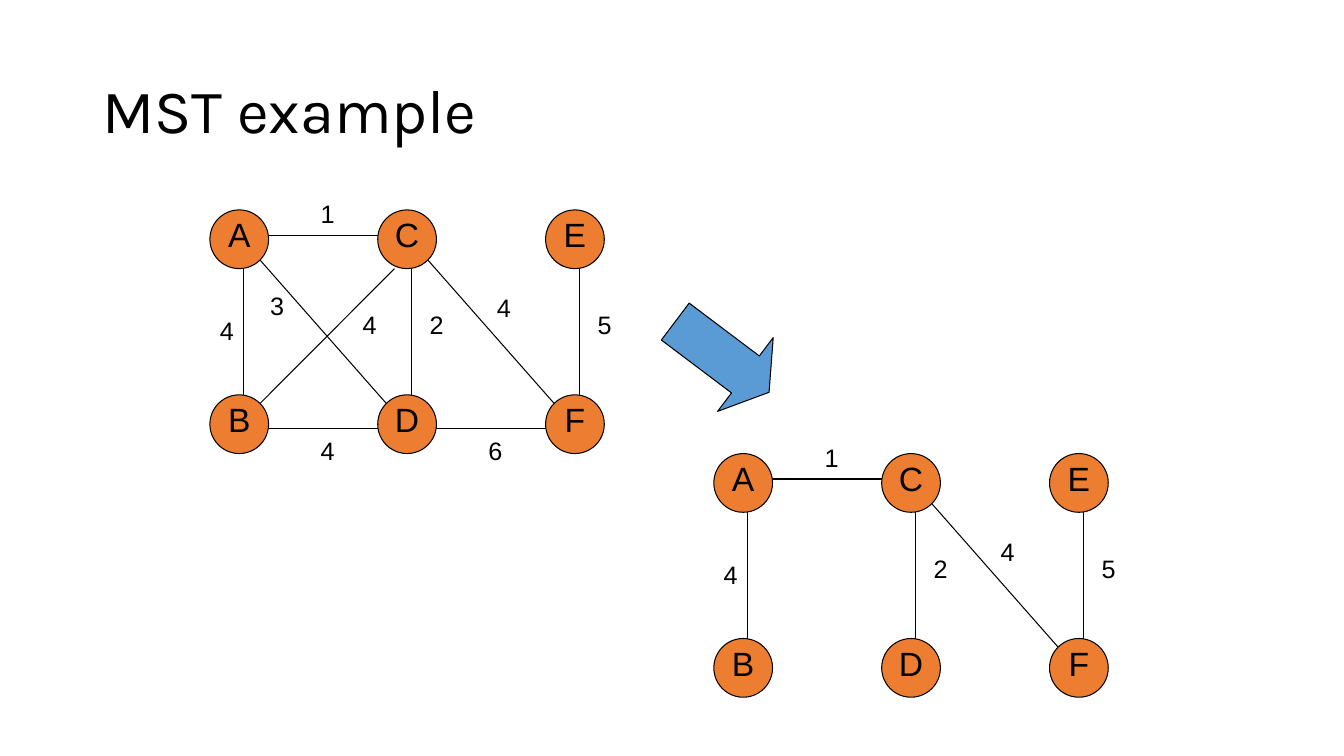
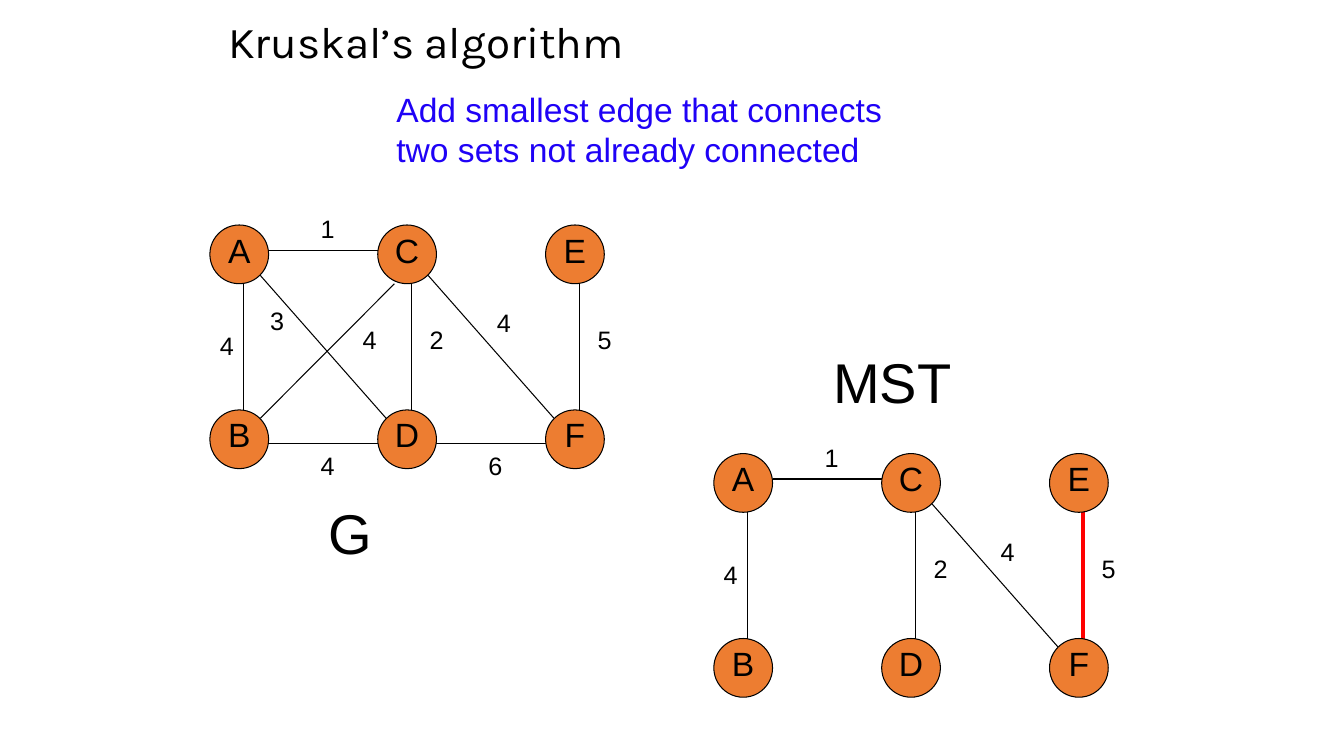
from collections import namedtuple

from lxml import etree
from pptx import Presentation
from pptx.dml.color import RGBColor
from pptx.enum.shapes import MSO_CONNECTOR, MSO_SHAPE
from pptx.enum.text import MSO_ANCHOR, PP_ALIGN
from pptx.oxml.ns import qn
from pptx.util import Cm, Pt

STRAIGHT = MSO_CONNECTOR.STRAIGHT
OVAL, RIGHT_ARROW = MSO_SHAPE.OVAL, MSO_SHAPE.RIGHT_ARROW
TOP, MIDDLE = MSO_ANCHOR.TOP, MSO_ANCHOR.MIDDLE
CENTER = PP_ALIGN.CENTER

BLACK, ORANGE, BLUE = "000000", "ED7D31", "5B9BD5"
RED, VIOLET = "FF0000", "1F02F6"
TITLE_FONT, BODY_FONT = "Karla", "Arial"
THIN, THICK = 0.75, 3

# All graph lengths are in centimetres.
NODE_SIZE = 1.48
COLUMN_STEP, ROW_STEP = 4.23, 4.66
NODES = {"A": (0, 0), "B": (0, 1), "C": (1, 0), "D": (1, 1), "E": (2, 0), "F": (2, 1)}

# Offsets are measured from the top left corner of the edge's first node.
Route = namedtuple("Route", "start end")
DOWN = Route((0.85, NODE_SIZE), (0.85, ROW_STEP))
ACROSS_TOP = Route((NODE_SIZE, 0.64), (COLUMN_STEP, 0.64))
ACROSS_BOTTOM = Route((NODE_SIZE, 0.85), (COLUMN_STEP, 0.85))
FALLING = Route((1.27, 1.27), (COLUMN_STEP + 0.21, ROW_STEP + 0.21))
RISING = Route((1.27, 0.21), (COLUMN_STEP + 0.42, NODE_SIZE - ROW_STEP))

Edge = namedtuple("Edge", "weight route label")
EDGES = {
    "AB": Edge(4, DOWN, (0, 2.54)),
    "AC": Edge(1, ACROSS_TOP, (2.54, -0.41)),
    "AD": Edge(3, FALLING, (1.27, 1.9)),
    "BC": Edge(4, RISING, (3.6, 2.38 - ROW_STEP)),
    "BD": Edge(4, ACROSS_BOTTOM, (2.54, 0.89)),
    "CD": Edge(2, DOWN, (1.06, 2.38)),
    "CF": Edge(4, FALLING, (2.75, 1.95)),
    "DF": Edge(6, ACROSS_BOTTOM, (2.54, 0.89)),
    "EF": Edge(5, DOWN, (1.06, 2.38)),
}
TREE_EDGES = ("AB", "AC", "CD", "CF", "EF")
TREE_CORNER = (17.99, 11.43)


def rgb(value):
    return RGBColor.from_string(value)


def lengths(*values):
    return [Cm(value) for value in values]


def style_paragraph(para, text, size, color=BLACK, font=BODY_FONT):
    para.text = text
    para.font.name = font
    para.font.size = Pt(size)
    para.font.color.rgb = rgb(color)


def add_text(page, box, text, size, color=BLACK, font=BODY_FONT, anchor=TOP):
    frame = page.shapes.add_textbox(*lengths(*box)).text_frame
    frame.word_wrap = True
    frame.vertical_anchor = anchor
    para = frame.paragraphs[0]
    style_paragraph(para, text, size, color, font)
    return para


def add_title(page, box, text, size):
    add_text(page, box, text, size, font=TITLE_FONT, anchor=MIDDLE).line_spacing = 0.9


def add_outlined_shape(page, kind, box, fill):
    shape = page.shapes.add_shape(kind, *lengths(*box))
    shape.shadow.inherit = False
    shape.fill.solid()
    shape.fill.fore_color.rgb = rgb(fill)
    shape.line.color.rgb = rgb(BLACK)
    shape.line.width = Pt(THIN)
    return shape


def add_line(page, start, end, color, width):
    line = page.shapes.add_connector(STRAIGHT, *lengths(*start, *end))
    line.line.color.rgb = rgb(color)
    line.line.width = Pt(width)
    etree.SubElement(line._element.spPr, qn("a:effectLst"))


def add_node(page, corner, name):
    node = add_outlined_shape(page, OVAL, (*corner, NODE_SIZE, NODE_SIZE), ORANGE)
    frame = node.text_frame
    frame.word_wrap = False
    frame.vertical_anchor = MIDDLE
    frame.margin_left = frame.margin_right = frame.margin_top = 0
    frame.margin_bottom = Cm(0.24)
    style_paragraph(frame.paragraphs[0], name, 24)
    frame.paragraphs[0].alignment = CENTER


def add_graph(page, corner, edge_names, marked=()):
    """Draw the six nodes and the named edges; marked edges are thick and red."""

    def shift(point, offset):
        return point[0] + offset[0], point[1] + offset[1]

    corners = {name: shift(corner, (column * COLUMN_STEP, row * ROW_STEP))
               for name, (column, row) in NODES.items()}
    for name in edge_names:
        edge, origin = EDGES[name], corners[name[0]]
        color, width = (RED, THICK) if name in marked else (BLACK, THIN)
        add_line(page, shift(origin, edge.route.start), shift(origin, edge.route.end),
                 color, width)
        add_text(page, (*shift(origin, edge.label), NODE_SIZE, 1.02), str(edge.weight), 18)
    for name, node_corner in corners.items():
        add_node(page, node_corner, name)


def build_example(page):
    add_title(page, (2.33, 1.01, 29.21, 3.68), "MST example", 44)
    add_graph(page, (5.29, 5.29), EDGES)
    add_graph(page, TREE_CORNER, TREE_EDGES)
    arrow = add_outlined_shape(page, RIGHT_ARROW, (16.72, 7.83, 2.96, 2.33), BLUE)
    arrow.adjustments[0] = 0.5
    arrow.adjustments[1] = 0.32
    arrow.rotation = 37


def build_kruskal(page):
    add_title(page, (5.5, 0.33, 20.96, 1.57), "Kruskal’s algorithm", 31.5)
    add_text(page, (9.74, 2.12, 12.9, 2.31),
             "Add smallest edge that connects two sets not already connected", 24, VIOLET)
    add_graph(page, (5.29, 5.67), EDGES)
    add_text(page, (8.04, 12.45, 2.12, 1.96), "G", 40)
    add_graph(page, TREE_CORNER, TREE_EDGES, marked=("EF",))
    add_text(page, (20.75, 8.64, 5.29, 1.96), "MST", 40)


def main():
    deck = Presentation()
    deck.slide_width, deck.slide_height = lengths(33.87, 19.05)
    blank = deck.slide_layouts[6]
    for build in (build_example, build_kruskal):
        build(deck.slides.add_slide(blank))
    deck.save("out.pptx")


if __name__ == "__main__":
    main()
